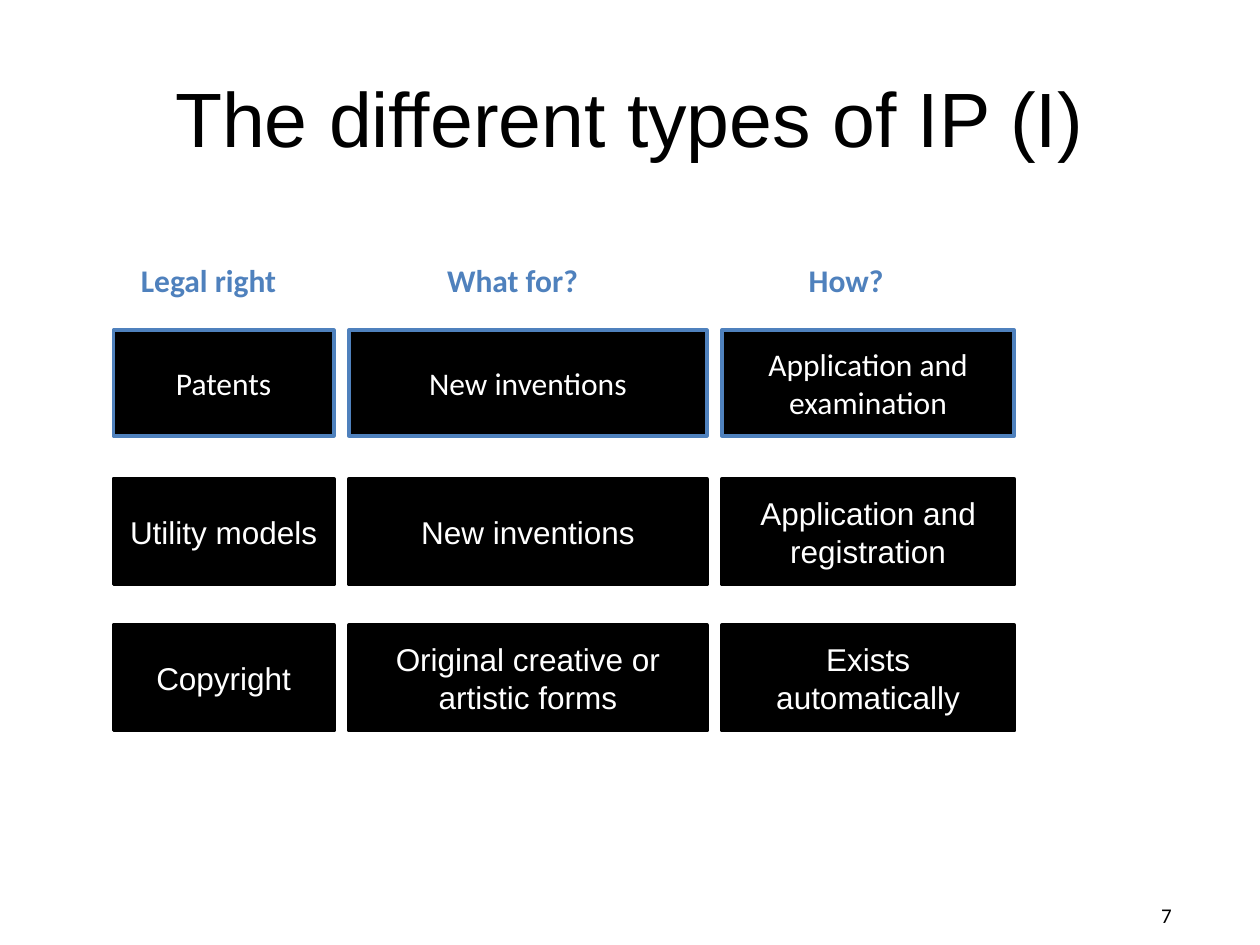
from dataclasses import dataclass

from pptx import Presentation
from pptx.dml.color import RGBColor
from pptx.enum.shapes import MSO_SHAPE
from pptx.enum.text import MSO_ANCHOR, PP_ALIGN
from pptx.shapes.autoshape import Shape
from pptx.slide import Slide
from pptx.util import Inches, Pt

RECTANGLE = MSO_SHAPE.RECTANGLE
TOP, MIDDLE = MSO_ANCHOR.TOP, MSO_ANCHOR.MIDDLE
LEFT, CENTER, RIGHT = PP_ALIGN.LEFT, PP_ALIGN.CENTER, PP_ALIGN.RIGHT


@dataclass(frozen=True)
class Theme:
    black: RGBColor = RGBColor(0x00, 0x00, 0x00)
    white: RGBColor = RGBColor(0xFF, 0xFF, 0xFF)
    accent: RGBColor = RGBColor(0x4F, 0x81, 0xBD)
    sans: str = "Arial"
    humanist: str = "Calibri"
    title_size: int = 44
    body_size: int = 18
    number_size: int = 12
    outline: int = 2


@dataclass(frozen=True)
class Column:
    heading: str
    left: float
    width: float
    heading_left: float
    heading_width: float


@dataclass(frozen=True)
class Right:
    top: float
    entries: tuple[str, str, str]
    outline: RGBColor
    font: str


THEME = Theme()
HEADING_TOP, HEADING_HEIGHT = 2.02, 0.4
CELL_HEIGHT = 0.84

COLUMNS = (
    Column("Legal right", 0.9, 1.75, 1.02, 1.5),
    Column("What for?", 2.77, 2.84, 3.45, 1.37),
    Column("How?", 5.73, 2.32, 6.32, 0.88),
)
RIGHTS = (
    Right(2.62, ("Patents", "New inventions", "Application and examination"),
          THEME.accent, THEME.humanist),
    Right(3.8, ("Utility models", "New inventions", "Application and registration"),
          THEME.black, THEME.sans),
    Right(4.96, ("Copyright", "Original creative or artistic forms", "Exists automatically"),
          THEME.black, THEME.sans),
)


def write(shape: Shape, text: str, *, font: str, color: RGBColor,
          size: int = THEME.body_size, bold: bool = False,
          align: PP_ALIGN = CENTER, anchor: MSO_ANCHOR = MIDDLE,
          padded: bool = True) -> None:
    frame = shape.text_frame
    frame.word_wrap = True
    frame.vertical_anchor = anchor
    if not padded:
        frame.margin_left = frame.margin_right = Inches(0)
        frame.margin_top = frame.margin_bottom = Inches(0)
    paragraph = frame.paragraphs[0]
    paragraph.alignment = align
    run = paragraph.add_run()
    run.text = text
    run.font.name = font
    run.font.size = Pt(size)
    run.font.bold = bold
    run.font.color.rgb = color


def add_label(slide: Slide, left: float, top: float, width: float, height: float) -> Shape:
    return slide.shapes.add_textbox(Inches(left), Inches(top), Inches(width), Inches(height))


def draw_heading(slide: Slide, column: Column) -> None:
    heading = add_label(slide, column.heading_left, HEADING_TOP,
                        column.heading_width, HEADING_HEIGHT)
    write(heading, column.heading, font=THEME.humanist, color=THEME.accent,
          bold=True, align=LEFT, anchor=TOP)


def draw_right(slide: Slide, right: Right) -> None:
    for column, entry in zip(COLUMNS, right.entries):
        cell = slide.shapes.add_shape(RECTANGLE, Inches(column.left), Inches(right.top),
                                      Inches(column.width), Inches(CELL_HEIGHT))
        cell.shadow.inherit = False
        cell.fill.solid()
        cell.fill.fore_color.rgb = THEME.black
        cell.line.color.rgb = right.outline
        cell.line.width = Pt(THEME.outline)
        write(cell, entry, font=right.font, color=THEME.white)


def main() -> None:
    """Build the slide that compares types of intellectual property."""
    deck = Presentation()
    deck.slide_width, deck.slide_height = Inches(10), Inches(7.5)
    slide = deck.slides.add_slide(deck.slide_layouts[6])

    title = add_label(slide, 0.5, 0.3, 9, 1.25)
    write(title, "The different types of IP (I)", font=THEME.sans,
          color=THEME.black, size=THEME.title_size)
    for column in COLUMNS:
        draw_heading(slide, column)
    for right in RIGHTS:
        draw_right(slide, right)
    page_number = add_label(slide, 8.47, 7.14, 0.83, 0.24)
    write(page_number, "7", font=THEME.humanist, color=THEME.black,
          size=THEME.number_size, align=RIGHT, padded=False)
    deck.save("out.pptx")


if __name__ == "__main__":
    main()
